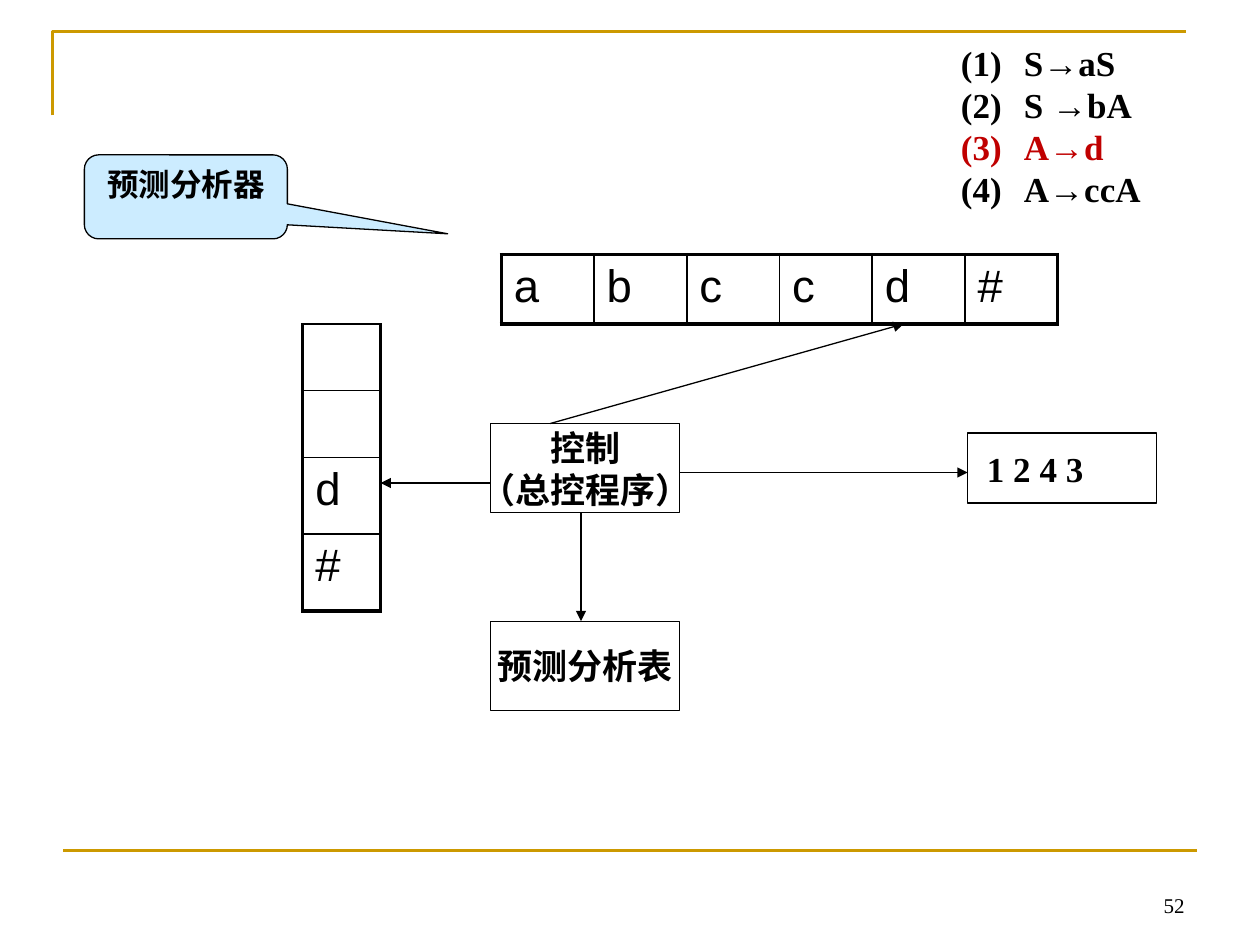
from dataclasses import dataclass

from lxml.etree import SubElement
from pptx import Presentation
from pptx.dml.color import RGBColor
from pptx.enum.shapes import MSO_CONNECTOR as Conn, MSO_SHAPE as Shape
from pptx.enum.text import MSO_ANCHOR as Anchor, PP_ALIGN as Align
from pptx.oxml.ns import qn
from pptx.util import Pt


@dataclass(frozen=True)
class Theme:
    ink: str = "000000"
    paper: str = "FFFFFF"
    gold: str = "CC9900"
    red: str = "C00000"
    sky: str = "CCECFF"
    serif: str = "Times New Roman"
    sans: str = "Arial"
    cjk: str = "Noto Sans CJK SC"
    page: int = 12
    note: int = 18
    body: int = 20
    symbol: int = 26
    thin: float = 0.75
    inner: float = 1
    outer: float = 2.25
    rule: float = 1.5


T = Theme()


def rgb(color):
    return RGBColor.from_string(color)


def write(p, text, size=T.body, font=T.serif, color=T.ink, bold=False, align=Align.LEFT):
    p.alignment = align
    r = p.add_run()
    r.text = text
    r.font.size, r.font.bold, r.font.name = Pt(size), bold, font
    r.font.color.rgb = rgb(color)
    SubElement(r.font._element, qn("a:ea"), typeface=T.cjk)


def write_lines(tf, lines, **fmt):
    for i, text in enumerate(lines):
        write(tf.paragraphs[0] if i == 0 else tf.add_paragraph(), text, **fmt)


def text_box(s, box, anchor=Anchor.TOP):
    tf = s.shapes.add_textbox(*map(Pt, box)).text_frame
    tf.word_wrap = True
    tf.vertical_anchor = anchor
    return tf


def draw_line(s, start, end, color=T.ink, width=T.thin, arrow=False):
    line = s.shapes.add_connector(Conn.STRAIGHT, *map(Pt, (*start, *end)))
    line.line.color.rgb = rgb(color)
    line.line.width = Pt(width)
    if arrow:
        SubElement(line.line._get_or_add_ln(), qn("a:tailEnd"), type="triangle")
    SubElement(line._element.spPr, qn("a:effectLst"))


def outlined(s, kind, box, fill=T.paper):
    sp = s.shapes.add_shape(kind, *map(Pt, box))
    sp.shadow.inherit = False
    sp.fill.solid()
    sp.fill.fore_color.rgb = rgb(fill)
    sp.line.color.rgb = rgb(T.ink)
    sp.line.width = Pt(T.thin)
    return sp


def frame(s, box, page):
    x, y, w, h = box
    # Corner rule at the top, plain rule and page number at the bottom
    corner = s.shapes.build_freeform(Pt(x), Pt(y + 48))
    corner.add_line_segments([(Pt(x), Pt(y)), (Pt(x + 648), Pt(y))], close=False)
    sp = corner.convert_to_shape()
    sp.shadow.inherit = False
    sp.fill.background()
    sp.line.color.rgb = rgb(T.gold)
    sp.line.width = Pt(T.rule)
    draw_line(s, (x + 6, y + h), (x + w, y + h), T.gold, T.rule)
    tf = text_box(s, (x + w - 168, y + h + 6, 168, 36), Anchor.BOTTOM)
    write(tf.paragraphs[0], page, size=T.page, align=Align.RIGHT)


def grammar(s, box):
    tf = text_box(s, box)
    rules = [("S→aS", 1, T.ink), ("(2)\tS →bA", None, T.ink),
             ("A→d", 3, T.red), ("A→ccA", 3, T.ink)]
    for i, (text, start, color) in enumerate(rules):
        p = tf.paragraphs[0] if i == 0 else tf.add_paragraph()
        pPr = p._p.get_or_add_pPr()
        pPr.set("marL", str(Pt(36)))
        pPr.set("indent", str(-Pt(36)))
        if start:
            SubElement(pPr, qn("a:buAutoNum"), type="arabicParenBoth", startAt=str(start))
        write(p, text, color=color, bold=True)


def border(cell, side, width):
    ln = SubElement(cell._tc.get_or_add_tcPr(), qn(f"a:{side}"), w=str(Pt(width)))
    SubElement(SubElement(ln, qn("a:solidFill")), qn("a:srgbClr"), val=T.ink)


def symbol_table(s, box, symbols, heights, open_top=False):
    """symbols is a list of rows; open_top draws a thin top edge."""
    rows, cols = len(symbols), len(symbols[0])
    table = s.shapes.add_table(rows, cols, *map(Pt, box)).table
    table.first_row = table.horz_banding = False
    for col in table.columns:
        col.width = Pt(box[2] / cols)
    for i, row in enumerate(symbols):
        table.rows[i].height = Pt(heights[i])
        for j, text in enumerate(row):
            cell = table.cell(i, j)
            edges = {"lnL": j == 0, "lnR": j == cols - 1,
                     "lnT": i == 0 and not open_top, "lnB": i == rows - 1}
            for side, is_outer in edges.items():
                border(cell, side, T.outer if is_outer else T.inner)
            cell.fill.background()
            if text:
                write(cell.text_frame.paragraphs[0], text, size=T.symbol, font=T.sans)


def block(s, box, lines, align=Align.CENTER, inset=None):
    tf = outlined(s, Shape.RECTANGLE, box).text_frame
    tf.word_wrap = inset is not None
    tf.vertical_anchor = Anchor.MIDDLE
    if inset is not None:
        tf.margin_left = Pt(inset)
    write_lines(tf, lines, bold=True, align=align)


def callout(s, box, text):
    sp = outlined(s, Shape.ROUNDED_RECTANGULAR_CALLOUT, box, T.sky)
    for i, value in enumerate((1.29, 0.44, 0.17)):
        sp.adjustments[i] = value
    sp.text_frame.word_wrap = True
    sp.text_frame.vertical_anchor = Anchor.TOP
    write_lines(sp.text_frame, [text], size=T.note, font=T.cjk, bold=True, align=Align.CENTER)


def parser_diagram(s, box):
    x, y, w, h = box
    # Input tape and stack
    tape = (x + 113.5, y, 318, 39.6)
    stack = (x, y + 39.6, 44.5, 164)
    symbol_table(s, tape, [list("abccd#")], [39.6])
    symbol_table(s, stack, [[""], [""], ["d"], ["#"]], [38.2, 38.2, 43.8, 43.8], open_top=True)

    # Control program, parsing table and output
    bw, bh = 108, 51
    cx, cy = x + 107.5, y + 96.5
    table_y = y + h - bh
    out_x, out_h = x + w - bw, 40
    block(s, (cx, cy, bw, bh), ["控制", "（总控程序）"])
    block(s, (cx, table_y, bw, bh), ["预测分析表"])
    block(s, (out_x, y + 102, bw, out_h), ["1 2 4 3"], Align.LEFT, inset=11)

    # Arrows from the control program
    mid, low = cy + 28, cy + 34
    for start, end in [((cx + 34, cy), (x + 343.5, y + 39.6)),
                       ((cx + bw, mid), (out_x, mid)),
                       ((cx + 51.5, cy + bh), (cx + 51.5, table_y)),
                       ((cx, low), (x + 44.5, low))]:
        draw_line(s, start, end, arrow=True)


def main():
    prs = Presentation()
    prs.slide_width, prs.slide_height = Pt(720), Pt(540)
    s = prs.slides.add_slide(prs.slide_layouts[6])
    frame(s, (30, 18, 654, 468), "52")
    grammar(s, (542, 20, 124.5, 104.5))
    parser_diagram(s, (173, 145.5, 488, 260.5))
    callout(s, (48.25, 88.5, 116, 48), "预测分析器")
    prs.save("out.pptx")


if __name__ == "__main__":
    main()
